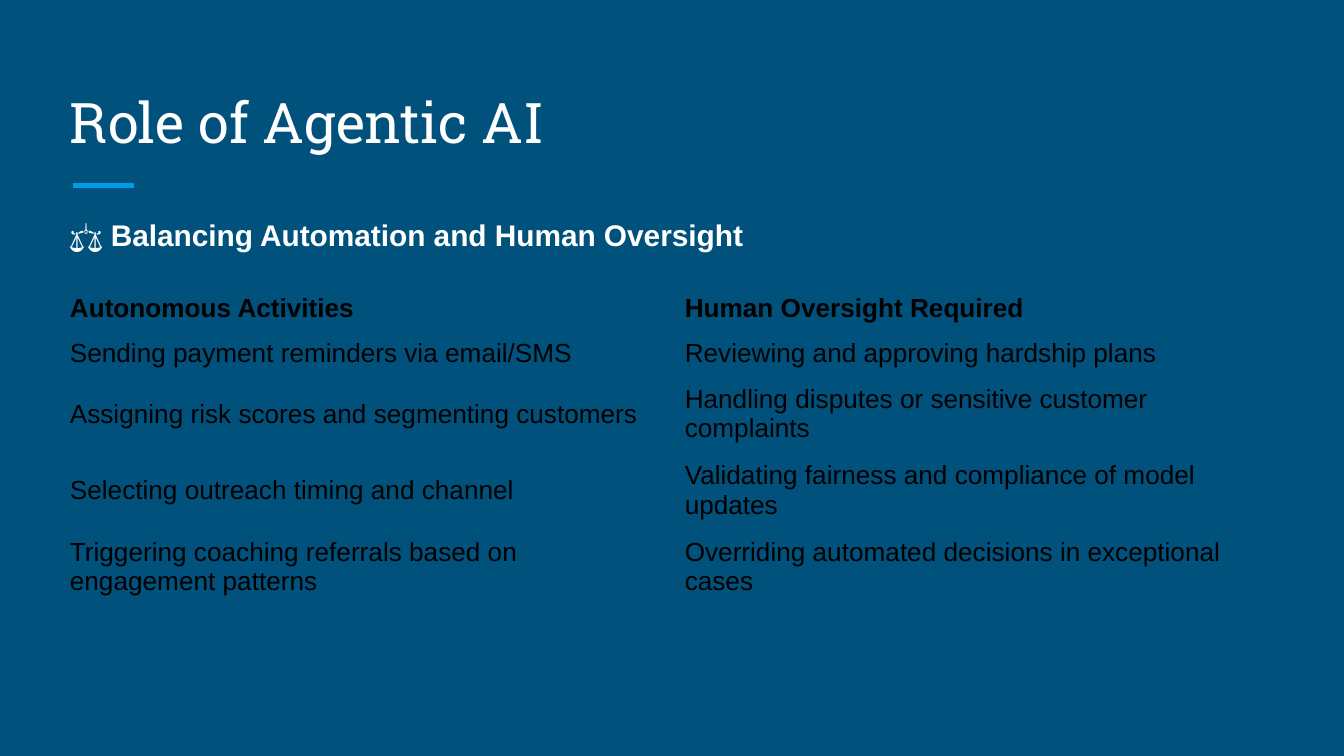
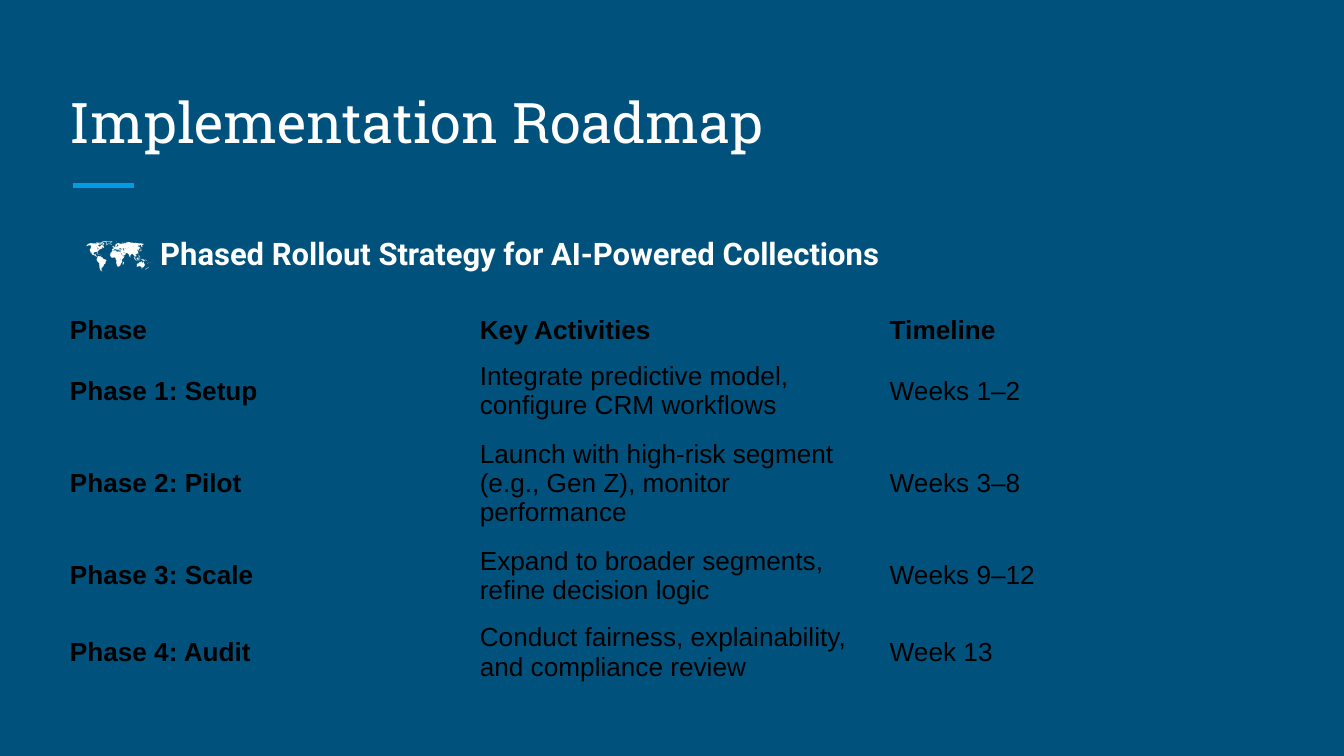
from dataclasses import dataclass

from lxml.etree import SubElement
from pptx import Presentation
from pptx.dml.color import RGBColor
from pptx.enum.shapes import MSO_CONNECTOR
from pptx.enum.text import MSO_ANCHOR, MSO_AUTO_SIZE, PP_ALIGN
from pptx.oxml.ns import qn
from pptx.slide import Slide
from pptx.text.text import TextFrame
from pptx.util import Inches, Pt

NAVY = RGBColor(0x00, 0x51, 0x7C)
SKY = RGBColor(0x03, 0x9B, 0xE5)
WHITE = RGBColor(0xFF, 0xFF, 0xFF)
BLACK = RGBColor(0x00, 0x00, 0x00)

SLIDE_W, SLIDE_H = Inches(10), Inches(5.625)
NO_GRID_STYLE = "{2D5ABB26-0587-4C30-8999-92F81FD0307C}"
TITLE_ONLY = 5
CELL_PADDING = Inches(0.1)

# Places and sizes are percentages of the slide's width or height.
LEFT, CONTENT_W = 4.2, 91.5
TITLE_TOP, TITLE_H = 8.89, 13.33
RULE_START, RULE_END, RULE_Y = 5.4, 10, 24.53


def across(percent: float) -> int:
    return round(SLIDE_W * percent / 100)


def down(percent: float) -> int:
    return round(SLIDE_H * percent / 100)


@dataclass(frozen=True)
class TextStyle:
    font: str
    size: float
    color: RGBColor
    bold: bool = False


TITLE = TextStyle("Roboto Slab", 30, WHITE)
CELL = TextStyle("Arial", 14, BLACK)
CELL_BOLD = TextStyle("Arial", 14, BLACK, True)


@dataclass(frozen=True)
class Heading:
    text: str
    style: TextStyle
    top: float
    width: float
    height: float
    inset_left: float
    inset_top: float
    line_spacing: float = 1.0


@dataclass(frozen=True)
class Grid:
    top: float
    line_height: float
    lines: tuple[int, ...]  # text lines in each row
    rows: tuple[tuple[str, ...], ...]
    bold_first_column: bool = False


@dataclass(frozen=True)
class Page:
    title: str
    heading: Heading
    grid: Grid


PAGES = (
    Page(
        "Role of Agentic AI",
        Heading("⚖️ Balancing Automation and Human Oversight",
                TextStyle("Arial", 16, WHITE, True),
                top=27.38, width=53.4, height=11.91,
                inset_left=0.1, inset_top=0.07),
        Grid(37.87, 3.91, (1, 1, 2, 2, 2), (
            ("Autonomous Activities", "Human Oversight Required"),
            ("Sending payment reminders via email/SMS",
             "Reviewing and approving hardship plans"),
            ("Assigning risk scores and segmenting customers",
             "Handling disputes or sensitive customer complaints"),
            ("Selecting outreach timing and channel",
             "Validating fairness and compliance of model updates"),
            ("Triggering coaching referrals based on engagement patterns",
             "Overriding automated decisions in exceptional cases"),
        )),
    ),
    Page(
        "Implementation Roadmap",
        Heading("🗺️ Phased Rollout Strategy for AI-Powered Collections",
                TextStyle("Roboto", 16.6, WHITE, True),
                top=28.98, width=CONTENT_W, height=9.07,
                inset_left=0.22, inset_top=0.1, line_spacing=1.05),
        Grid(40.71, 4.18, (1, 2, 3, 2, 2), (
            ("Phase", "Key Activities", "Timeline"),
            ("Phase 1: Setup",
             "Integrate predictive model, configure CRM workflows",
             "Weeks 1–2"),
            ("Phase 2: Pilot",
             "Launch with high-risk segment (e.g., Gen Z), monitor performance",
             "Weeks 3–8"),
            ("Phase 3: Scale",
             "Expand to broader segments, refine decision logic",
             "Weeks 9–12"),
            ("Phase 4: Audit",
             "Conduct fairness, explainability, and compliance review",
             "Week 13"),
        ), bold_first_column=True),
    ),
)


def write(tf: TextFrame, text: str, style: TextStyle) -> None:
    tf.text = text
    p = tf.paragraphs[0]
    p.alignment = PP_ALIGN.LEFT
    for r in p.runs:
        r.font.name = style.font
        r.font.size = Pt(style.size)
        r.font.bold = style.bold
        r.font.color.rgb = style.color


def add_title(s: Slide, text: str) -> None:
    """Fill the title placeholder and draw the short rule below it."""
    sp = s.shapes.title
    sp.left, sp.top = across(LEFT), down(TITLE_TOP)
    sp.width, sp.height = across(CONTENT_W), down(TITLE_H)
    tf = sp.text_frame
    write(tf, text, TITLE)
    tf.word_wrap = True
    tf.auto_size = MSO_AUTO_SIZE.NONE
    tf.vertical_anchor = MSO_ANCHOR.BOTTOM
    tf.margin_left = tf.margin_right = Inches(0.1)
    tf.margin_top = tf.margin_bottom = Inches(0.1)

    rule = s.shapes.add_connector(MSO_CONNECTOR.STRAIGHT, across(RULE_START),
                                  down(RULE_Y), across(RULE_END), down(RULE_Y))
    rule.line.color.rgb = SKY
    rule.line.width = Pt(3)
    SubElement(rule.element.spPr, qn("a:effectLst"))


def add_heading(s: Slide, heading: Heading) -> None:
    sp = s.shapes.add_textbox(across(LEFT), down(heading.top),
                              across(heading.width), down(heading.height))
    tf = sp.text_frame
    write(tf, heading.text, heading.style)
    tf.word_wrap = True
    tf.margin_left = Inches(heading.inset_left)
    tf.margin_top = Inches(heading.inset_top)
    tf.paragraphs[0].line_spacing = heading.line_spacing


def add_grid(s: Slide, grid: Grid) -> None:
    heights = [down(n * grid.line_height) + CELL_PADDING for n in grid.lines]
    columns = len(grid.rows[0])
    frame = s.shapes.add_table(len(grid.rows), columns, across(LEFT),
                               down(grid.top), across(CONTENT_W), sum(heights))
    table = frame.table
    table.first_row = table.horz_banding = False
    frame.element.find(".//" + qn("a:tableStyleId")).text = NO_GRID_STYLE
    for column in table.columns:
        column.width = across(CONTENT_W / columns)
    for i, (row, height) in enumerate(zip(grid.rows, heights)):
        table.rows[i].height = height
        for j, text in enumerate(row):
            cell = table.cell(i, j)
            bold = i == 0 or (j == 0 and grid.bold_first_column)
            write(cell.text_frame, text, CELL_BOLD if bold else CELL)
            cell.vertical_anchor = MSO_ANCHOR.MIDDLE
            cell.fill.background()


def main() -> None:
    prs = Presentation()
    prs.slide_width, prs.slide_height = SLIDE_W, SLIDE_H
    fill = prs.slide_master.background.fill
    fill.solid()
    fill.fore_color.rgb = NAVY
    for page in PAGES:
        s = prs.slides.add_slide(prs.slide_layouts[TITLE_ONLY])
        add_title(s, page.title)
        add_heading(s, page.heading)
        add_grid(s, page.grid)
    prs.save("out.pptx")


if __name__ == "__main__":
    main()
